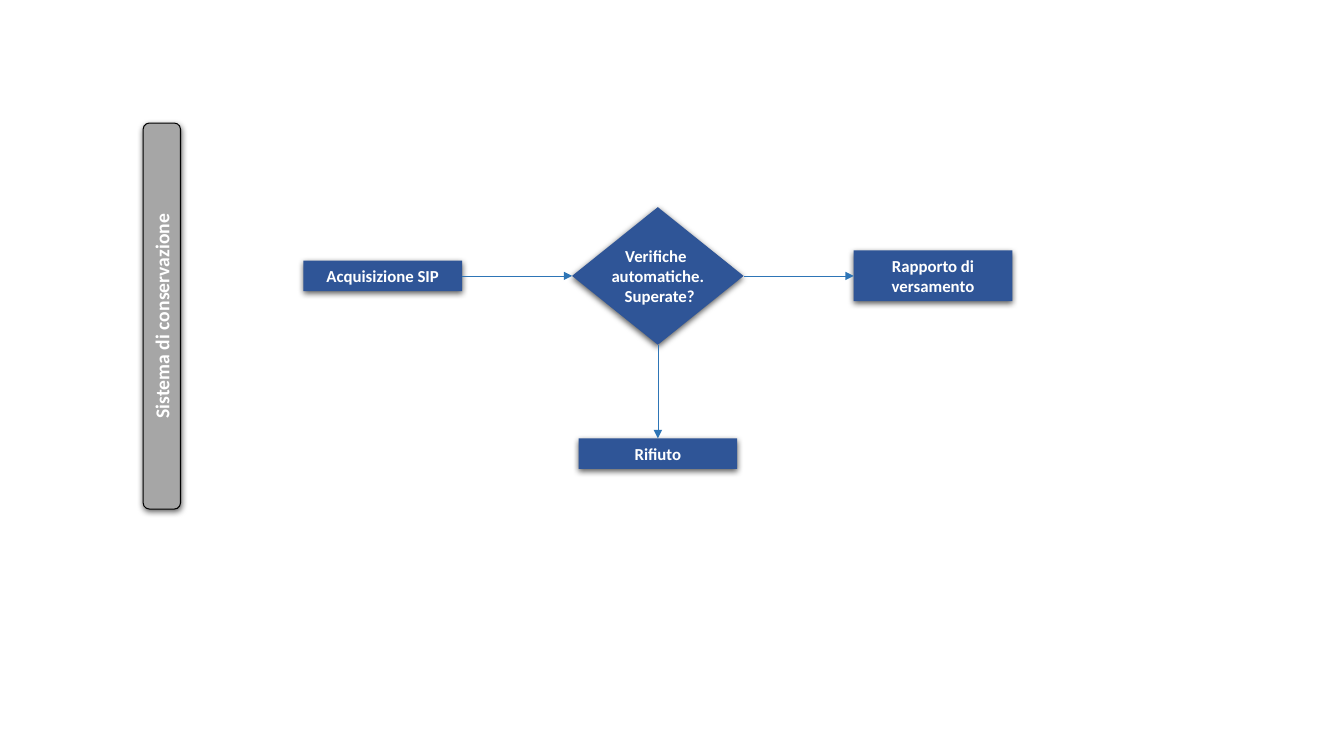
from lxml import etree
from pptx import Presentation
from pptx import util as u
from pptx.dml.color import RGBColor
from pptx.enum import shapes, text
from pptx.oxml import parse_xml
from pptx.oxml.ns import nsdecls, qn

BLUE = RGBColor(0x2F, 0x55, 0x97)
ARROW_BLUE = RGBColor(0x2E, 0x75, 0xB6)
GREY = RGBColor(0xA6, 0xA6, 0xA6)
BLACK = RGBColor(0, 0, 0)
WHITE = RGBColor(0xFF, 0xFF, 0xFF)

TOP, LEFT, BOTTOM, RIGHT = range(4)
SHADOW = (
    f'<a:outerShdw {nsdecls("a")} blurRad="57150" dist="19050" dir="5400000" '
    'algn="ctr" rotWithShape="0"><a:srgbClr val="000000">'
    '<a:alpha val="63000"/></a:srgbClr></a:outerShdw>'
)


def write(tf, content, size=12, color=WHITE, bold=True, font="Calibri"):
    """Put each line of content in its own centred paragraph."""
    for i, line in enumerate(content.split("\n")):
        p = tf.paragraphs[0] if i == 0 else tf.add_paragraph()
        p.alignment = text.PP_ALIGN.CENTER
        r = p.add_run()
        r.text = line
        r.font.name, r.font.size, r.font.bold = font, u.Pt(size), bold
        r.font.color.rgb = color


class FlowSlide:
    """Draws on one slide; lengths are percentages of its width and height."""

    def __init__(self, prs):
        self.s = prs.slides.add_slide(prs.slide_layouts[6])
        self.col = prs.slide_width / 100
        self.row = prs.slide_height / 100

    def node(self, kind, cx, cy, w, h, content, fill=BLUE, size=12):
        """Add a shadowed shape centred on (cx, cy)."""
        sp = self.s.shapes.add_shape(
            kind, round((cx - w / 2) * self.col), round((cy - h / 2) * self.row),
            round(w * self.col), round(h * self.row))
        sp.shadow.inherit = False
        sp._element.spPr.find(qn("a:effectLst")).append(parse_xml(SHADOW))
        sp.fill.solid()
        sp.fill.fore_color.rgb = fill
        sp.line.fill.background()
        tf = sp.text_frame
        tf.word_wrap = True
        tf.vertical_anchor = text.MSO_ANCHOR.MIDDLE
        write(tf, content, size=size)
        return sp

    def box(self, cx, cy, content, h=4.04):
        sp = self.node(shapes.MSO_SHAPE.RECTANGLE, cx, cy, 11.8, h, content)
        sp.text_frame.auto_size = text.MSO_AUTO_SIZE.SHAPE_TO_FIT_TEXT
        return sp

    def decision(self, cx, cy, content):
        sp = self.node(shapes.MSO_SHAPE.DIAMOND, cx, cy, 12.76, 18.2, content)
        sp.text_frame.word_wrap = False
        return sp

    def lane(self, cx, cy, content):
        """Add the upright title bar, read from bottom to top."""
        sp = self.node(shapes.MSO_SHAPE.ROUNDED_RECTANGLE, cx, cy, 28.73, 4.94,
                       content, fill=GREY, size=14)
        sp.rotation = 270
        sp.line.color.rgb = BLACK
        sp.line.width = u.Pt(0.75)
        sp.text_frame.vertical_anchor = text.MSO_ANCHOR.TOP
        sp.text_frame.auto_size = text.MSO_AUTO_SIZE.SHAPE_TO_FIT_TEXT

    def arrow(self, start, start_side, end, end_side):
        cn = self.s.shapes.add_connector(shapes.MSO_CONNECTOR.STRAIGHT, 0, 0, 0, 0)
        cn.begin_connect(start, start_side)
        cn.end_connect(end, end_side)
        cn.line.color.rgb = ARROW_BLUE
        cn.line.width = u.Pt(0.5)
        etree.SubElement(cn.line._get_or_add_ln(), qn("a:tailEnd"), type="triangle")
        etree.SubElement(cn._element.spPr, qn("a:effectLst"))


def main():
    prs = Presentation()
    prs.slide_width, prs.slide_height = u.Inches(13.33), u.Inches(7.5)
    flow = FlowSlide(prs)

    mid_x, mid_y, step = 48.95, 36.5, 20.47
    check = flow.decision(mid_x, mid_y, "Verifiche \nautomatiche.\n Superate?")
    report = flow.box(mid_x + step, mid_y, "Rapporto di versamento", h=6.72)
    intake = flow.box(mid_x - step, mid_y, "Acquisizione SIP")
    refusal = flow.box(mid_x, 60, "Rifiuto")
    flow.lane(12.04, 41.8, "Sistema di conservazione")

    flow.arrow(intake, RIGHT, check, LEFT)
    flow.arrow(check, RIGHT, report, LEFT)
    flow.arrow(check, BOTTOM, refusal, TOP)
    prs.save("out.pptx")


if __name__ == "__main__":
    main()
